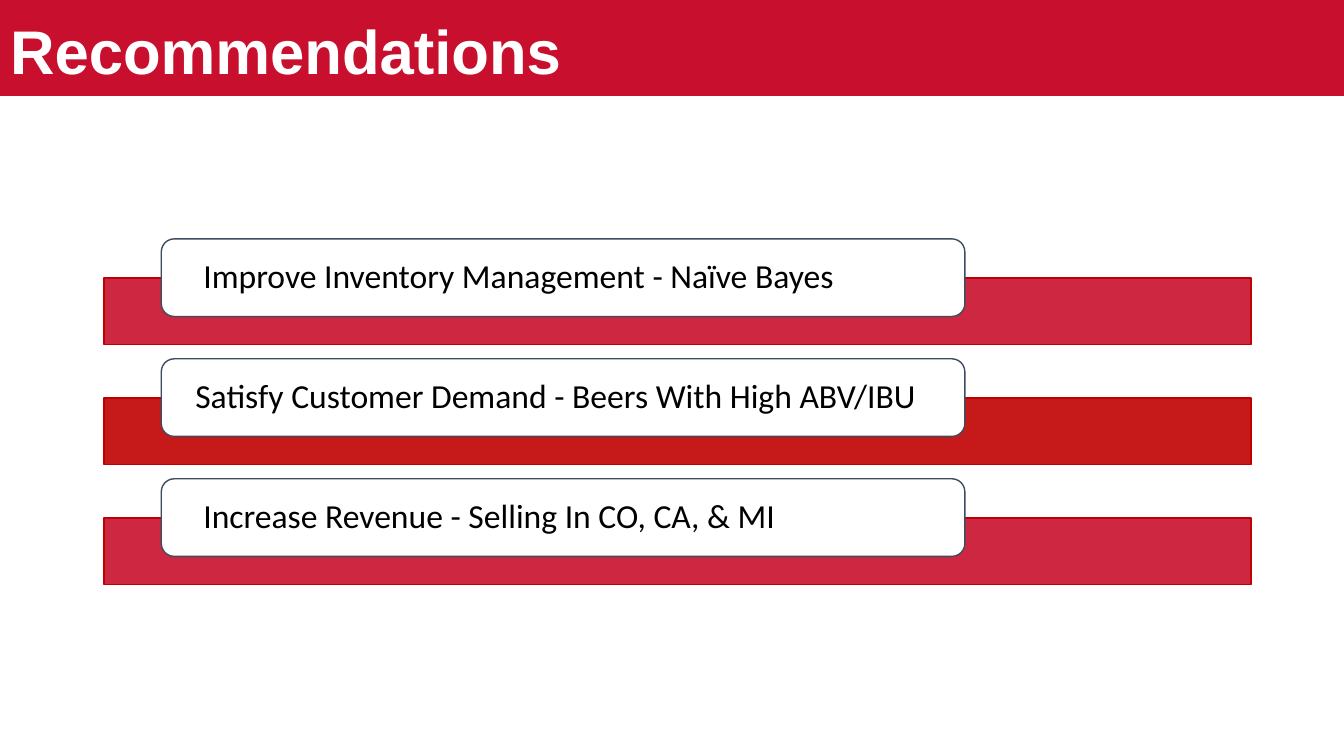
from lxml.etree import SubElement
from pptx import Presentation
from pptx.dml.color import RGBColor
from pptx.enum.shapes import MSO_SHAPE
from pptx.enum.text import MSO_ANCHOR, MSO_AUTO_SIZE, PP_ALIGN
from pptx.oxml.ns import qn
from pptx.util import Inches, Pt

# Content: text, bar colour, extra indent in inches
TITLE = "Recommendations"
RECOMMENDATIONS = [
    ("Improve Inventory Management - Naïve Bayes", "crimson", 0.08),
    ("Satisfy Customer Demand - Beers With High ABV/IBU", "red", 0),
    ("Increase Revenue - Selling In CO, CA, & MI", "crimson", 0.08),
]
COLORS = {"crimson": "C8102E", "red": "C00000", "slate": "3E4C60",
          "white": "FFFFFF", "black": "000000"}

# Layout in inches
WIDTH, HEIGHT = 13.33, 7.5
BAND_H = 0.95
LABEL_X, LABEL_W, LABEL_H = 1.6, 7.97, 0.77
BAR_X, BAR_W, BAR_H = 1.03, 11.38, 0.66
FIRST_Y, ROW_STEP = 2.37, 1.19
BAR_DROP = 0.39
LABEL_INSET = 0.3


def rgb(name):
    return RGBColor.from_string(COLORS[name])


def add_box(shapes, kind, x, y, w, h, fill, line):
    sp = shapes.add_shape(kind, Inches(x), Inches(y), Inches(w), Inches(h))
    sp.shadow.inherit = False
    sp.fill.solid()
    sp.fill.fore_color.rgb = rgb(fill)
    sp.line.color.rgb = rgb(line)
    sp.line.width = Pt(1)
    return sp


def set_opacity(sp, percent):
    color = sp.fill._xPr.find(qn("a:solidFill"))[0]
    SubElement(color, qn("a:alpha")).set("val", str(percent * 1000))


def write(tf, text, font, size, color, bold=False):
    tf.word_wrap = True
    tf.auto_size = MSO_AUTO_SIZE.NONE
    tf.vertical_anchor = MSO_ANCHOR.MIDDLE
    p = tf.paragraphs[0]
    p.text = text
    p.alignment = PP_ALIGN.LEFT
    p.line_spacing = 0.9
    p.font.name, p.font.size, p.font.bold = font, Pt(size), bold
    p.font.color.rgb = rgb(color)


prs = Presentation()
prs.slide_width, prs.slide_height = Inches(WIDTH), Inches(HEIGHT)
s = prs.slides.add_slide(prs.slide_layouts[5])

# Title on a full-width band
title = s.shapes.title
title.left, title.top = Inches(0), Inches(0.09)
title.width, title.height = Inches(11.5), Inches(0.9)
write(title.text_frame, TITLE, "Arial", 44, "white", bold=True)
band = add_box(s.shapes, MSO_SHAPE.RECTANGLE, 0, 0, WIDTH, BAND_H,
               "crimson", "crimson")
title._element.addprevious(band._element)

# Recommendation rows: a bar with a label overlapping its top edge
for i, (text, color, indent) in enumerate(RECOMMENDATIONS):
    y = FIRST_Y + i * ROW_STEP
    bar = add_box(s.shapes, MSO_SHAPE.RECTANGLE, BAR_X, y + BAR_DROP,
                  BAR_W, BAR_H, color, "red")
    set_opacity(bar, 90)
    label = add_box(s.shapes, MSO_SHAPE.ROUNDED_RECTANGLE, LABEL_X, y,
                    LABEL_W, LABEL_H, "white", "slate")
    tf = label.text_frame
    tf.margin_left = Inches(LABEL_INSET + indent)
    tf.margin_right = Inches(LABEL_INSET)
    tf.margin_top = tf.margin_bottom = 0
    write(tf, text, "Calibri", 24, "black")

prs.save("out.pptx")
